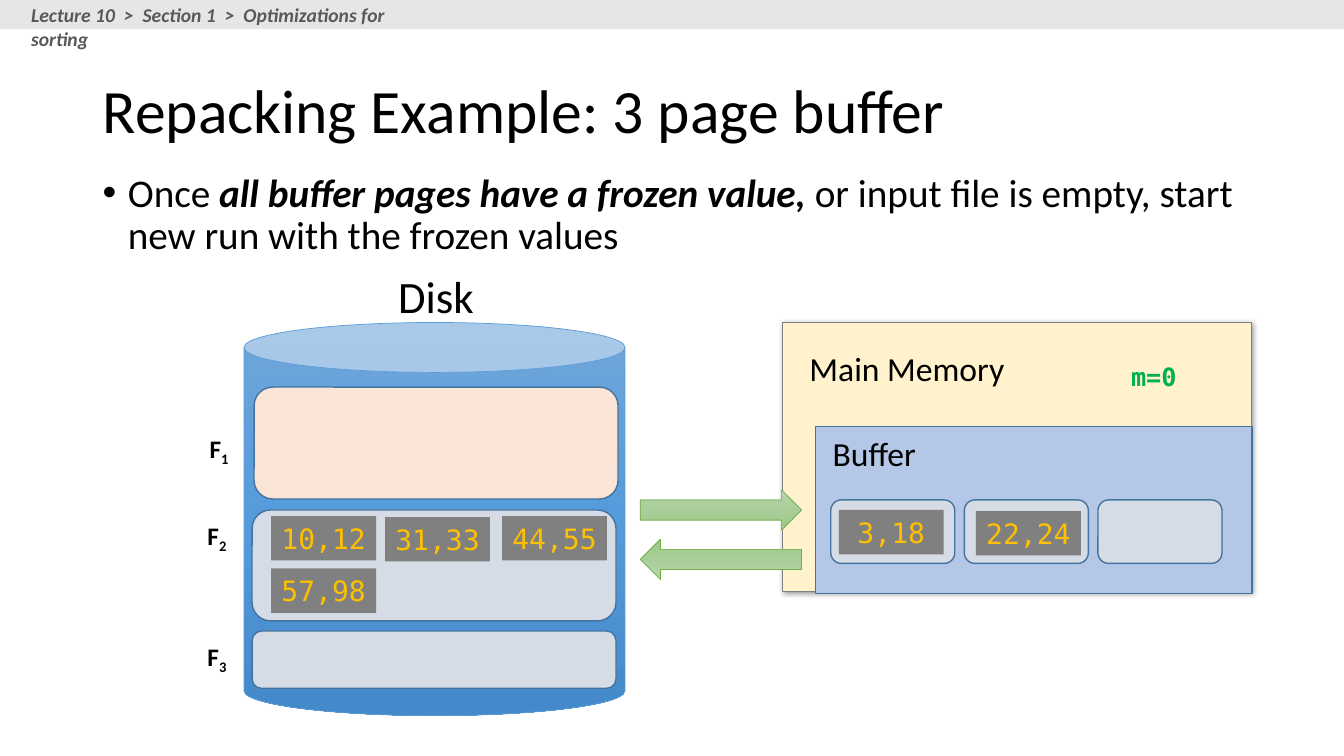
from copy import deepcopy
from typing import NamedTuple, Optional, Sequence

from lxml.etree import SubElement
from pptx import Presentation
from pptx.dml.color import RGBColor
from pptx.enum.shapes import MSO_SHAPE as Preset
from pptx.enum.text import MSO_ANCHOR as Anchor, PP_ALIGN as Align
from pptx.oxml.ns import qn
from pptx.shapes.autoshape import Shape
from pptx.slide import Slide
from pptx.util import Inches, Pt

BLACK = RGBColor(0x00, 0x00, 0x00)
HEADER_GRAY = RGBColor(0xE7, 0xE6, 0xE6)
HEADER_TEXT = RGBColor(0x59, 0x59, 0x59)
PEACH = RGBColor(0xFB, 0xE5, 0xD6)
PALE_BLUE = RGBColor(0xD6, 0xDC, 0xE5)
CREAM = RGBColor(0xFF, 0xF2, 0xCC)
BUFFER_BLUE = RGBColor(0xB4, 0xC7, 0xE7)
OUTLINE_BLUE = RGBColor(0x43, 0x73, 0x9E)
DISK_OUTLINE = RGBColor(0x5B, 0x9B, 0xD5)
ARROW_OUTLINE = RGBColor(0x70, 0xAD, 0x47)
GRAY = RGBColor(0x80, 0x80, 0x80)
GOLD = RGBColor(0xFF, 0xC0, 0x00)
GREEN = RGBColor(0x00, 0xB0, 0x50)
DISK_BLUES = (RGBColor(0x71, 0xA6, 0xDB), RGBColor(0x55, 0x9B, 0xDB), RGBColor(0x44, 0x8A, 0xCA))
ARROW_GREENS = (RGBColor(0xB5, 0xD5, 0xA7), RGBColor(0xAA, 0xCE, 0x9A), RGBColor(0x9C, 0xC9, 0x87))
SANS = "Calibri"
MONO = "DejaVu Sans Mono"


class Box(NamedTuple):
    left: float
    top: float
    width: float
    height: float


class Span(NamedTuple):
    text: str
    size: float
    color: RGBColor = BLACK
    font: str = SANS
    bold: bool = False
    italic: bool = False
    subscript: bool = False


class DiskFile(NamedTuple):
    number: str
    box: Box
    fill: RGBColor
    label_left: float
    label_top: float


class ValuePair(NamedTuple):
    text: str
    left: float
    top: float


DISK_FILES = (
    DiskFile("1", Box(2.52, 3.84, 3.61, 1.11), PEACH, 1.98, 4.25),
    DiskFile("2", Box(2.5, 5.06, 3.61, 1.1), PALE_BLUE, 1.96, 5.11),
    DiskFile("3", Box(2.5, 6.26, 3.61, 0.57), PALE_BLUE, 1.96, 6.31),
)
VALUE_PAIRS = (
    ValuePair("10,12", 2.69, 5.12),
    ValuePair("31,33", 3.82, 5.13),
    ValuePair("44,55", 4.98, 5.12),
    ValuePair("57,98", 2.69, 5.64),
    ValuePair("3,18", 8.32, 5.06),
    ValuePair("22,24", 9.68, 5.07),
)


def write(shape: Shape, spans: Sequence[Span], align: Align = Align.LEFT,
          anchor: Anchor = Anchor.TOP, wrap: bool = False) -> None:
    frame = shape.text_frame
    frame.word_wrap = wrap
    frame.vertical_anchor = anchor
    para = frame.paragraphs[0]
    para.alignment = align
    for span in spans:
        run = para.add_run()
        run.text = span.text
        font = run.font
        font.name, font.size = span.font, Pt(span.size)
        font.bold, font.italic = span.bold, span.italic
        font.color.rgb = span.color
        if span.subscript:
            run._r.get_or_add_rPr().set("baseline", "-25000")


def add_text(page: Slide, box: Box, spans: Sequence[Span], align: Align = Align.LEFT,
             anchor: Anchor = Anchor.TOP, wrap: bool = False) -> Shape:
    shape = page.shapes.add_textbox(*map(Inches, box))
    write(shape, spans, align, anchor, wrap)
    return shape


def add_block(page: Slide, preset: Preset, box: Box, fills: Sequence[RGBColor],
              line: Optional[RGBColor] = None, line_width: float = 1) -> Shape:
    """Add a shape with a plain fill, or a top-to-bottom gradient of three colours."""
    shape = page.shapes.add_shape(preset, *map(Inches, box))
    shape.shadow.inherit = False
    if len(fills) == 1:
        shape.fill.solid()
        shape.fill.fore_color.rgb = fills[0]
    else:
        shape.fill.gradient()
        shape.fill.gradient_angle = 270
        stop_list = shape.element.spPr.find(qn("a:gradFill")).find(qn("a:gsLst"))
        stop_list.insert(1, deepcopy(stop_list[0]))
        for stop, color, position in zip(shape.fill.gradient_stops, fills, (0, 0.5, 1)):
            stop.color.rgb = color
            stop.position = position
    if line is None:
        shape.line.fill.background()
    else:
        shape.line.color.rgb = line
        shape.line.width = Pt(line_width)
    return shape


def add_soft_shadow(shape: Shape) -> None:
    effects = shape.element.spPr.find(qn("a:effectLst"))
    shadow = SubElement(effects, qn("a:outerShdw"), blurRad=str(Pt(4)), dist=str(Pt(1)),
                        dir="2700000", algn="tl", rotWithShape="0")
    color = SubElement(shadow, qn("a:srgbClr"), val=str(BLACK))
    SubElement(color, qn("a:alpha"), val="40000")


def add_heading(page: Slide) -> None:
    add_block(page, Preset.RECTANGLE, Box(0, 0, 13.33, 0.29), [HEADER_GRAY])
    add_text(page, Box(0.21, -0.02, 4.24, 0.34),
             [Span("Lecture 10  >  Section 1  >  Optimizations for sorting", 14,
                   HEADER_TEXT, bold=True, italic=True)], wrap=True)
    title = add_text(page, Box(0.92, 0.4, 11.5, 1.45),
                     [Span("Repacking Example: 3 page buffer", 44)],
                     anchor=Anchor.MIDDLE, wrap=True)
    title.text_frame.paragraphs[0].line_spacing = 0.9


def add_rule(page: Slide) -> None:
    """Add the bulleted sentence that says when a new run starts."""
    body = add_text(page, Box(0.92, 1.67, 11.5, 1), [
        Span("Once ", 28),
        Span("all buffer pages have a frozen value, ", 28, bold=True, italic=True),
        Span("or input file is empty, start new run with the frozen values", 28),
    ], wrap=True)
    para = body.text_frame.paragraphs[0]
    para.line_spacing = 0.9
    para.space_before = Pt(10)
    properties = para._p.get_or_add_pPr()
    properties.set("marL", str(Inches(0.25)))
    properties.set("indent", str(Inches(-0.25)))
    SubElement(properties, qn("a:buFont"), typeface="Arial")
    SubElement(properties, qn("a:buChar"), char="•")


def add_disk(page: Slide) -> None:
    disk = add_block(page, Preset.CAN, Box(2.42, 3.2, 3.78, 3.9), DISK_BLUES, DISK_OUTLINE, 0.5)
    disk.adjustments[0] = 0.131
    add_text(page, Box(3.84, 2.62, 0.97, 0.64), [Span("Disk", 32)], Align.CENTER, wrap=True)
    for file in DISK_FILES:
        add_block(page, Preset.ROUNDED_RECTANGLE, file.box, [file.fill], OUTLINE_BLUE)
        add_text(page, Box(file.label_left, file.label_top, 0.4, 0.4),
                 [Span("F", 18, bold=True), Span(file.number, 18, bold=True, subscript=True)])


def add_memory(page: Slide) -> None:
    memory = add_block(page, Preset.RECTANGLE, Box(7.76, 3.2, 4.65, 2.67), [CREAM], GRAY, 0.5)
    add_soft_shadow(memory)
    add_block(page, Preset.RECTANGLE, Box(8.09, 4.23, 4.33, 1.66), [BUFFER_BLUE], OUTLINE_BLUE)
    add_text(page, Box(7.93, 3.4, 2.15, 0.5), [Span("Main Memory", 24)])
    add_text(page, Box(8.16, 4.25, 1.04, 0.5), [Span("Buffer", 24)])
    for column in range(3):
        add_block(page, Preset.ROUNDED_RECTANGLE, Box(8.24 + 1.325 * column, 4.96, 1.23, 0.63),
                  [PALE_BLUE], OUTLINE_BLUE)
    minimum = add_block(page, Preset.RECTANGLE, Box(11.12, 3.53, 0.66, 0.4), [CREAM])
    write(minimum, [Span("m=0", 18, GREEN, MONO, bold=True)], anchor=Anchor.MIDDLE)


def add_transfer_arrows(page: Slide) -> None:
    for top, rotation in ((4.86, 0), (5.35, 180)):
        arrow = add_block(page, Preset.RIGHT_ARROW, Box(6.35, top, 1.6, 0.4),
                          ARROW_GREENS, ARROW_OUTLINE, 0.5)
        arrow.rotation = rotation


def add_value_pairs(page: Slide) -> None:
    for pair in VALUE_PAIRS:
        chip = add_block(page, Preset.RECTANGLE, Box(pair.left, pair.top, 1.04, 0.44), [GRAY])
        write(chip, [Span(pair.text, 20, GOLD, MONO)], Align.CENTER, Anchor.MIDDLE)


def main() -> None:
    deck = Presentation()
    deck.slide_width, deck.slide_height = Inches(13.33), Inches(7.5)
    page = deck.slides.add_slide(deck.slide_layouts[6])
    for add_part in (add_heading, add_rule, add_disk, add_memory,
                     add_transfer_arrows, add_value_pairs):
        add_part(page)
    deck.save("out.pptx")


if __name__ == "__main__":
    main()
